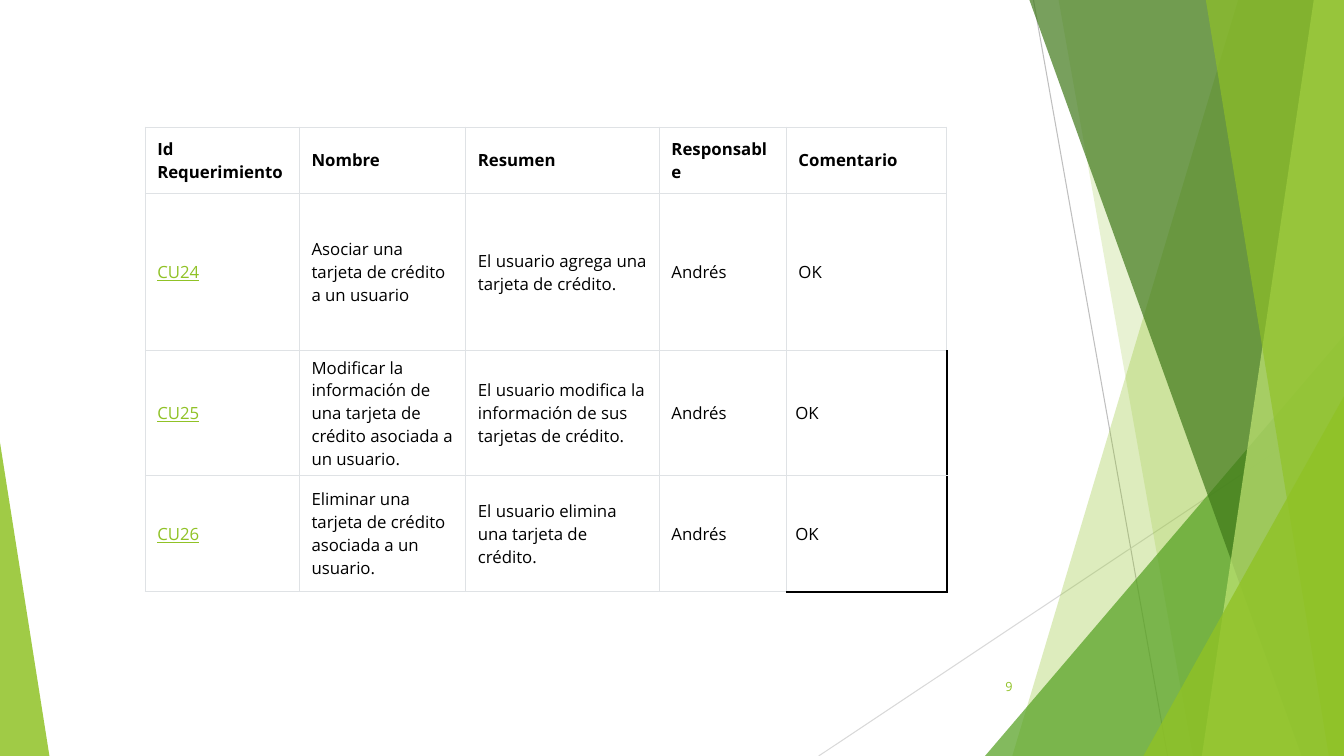
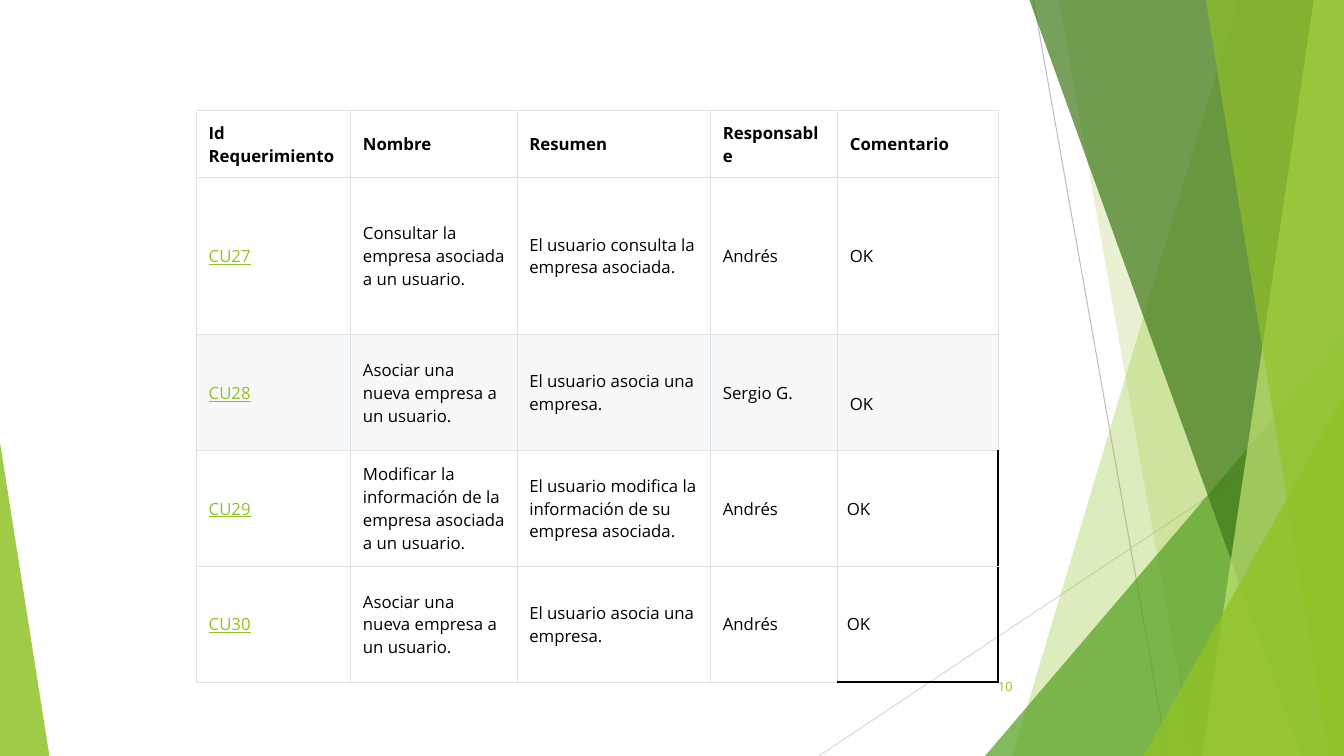
import lxml.etree
import pptx
import pptx.dml.color
import pptx.enum.shapes
import pptx.enum.text
import pptx.oxml.ns
import pptx.util

WIDE, HIGH = 13.33, 7.5
FONT = "Open Sans"
LIME, GRASS, MOSS, PALE = "90C226", "54A021", "3F7819", "C0E474"
BLACK, WHITE, MIST, EDGE = "000000", "FFFFFF", "F6F8FA", "DFE2E5"
PLAIN = "{2D5ABB26-0587-4C30-8999-92F81FD0307C}"

COLS = [1.53, 1.65, 1.92, 1.26, 1.59]
HEAD, TALL, FIVE, ROW = 0.66, 1.56, 1.24, 1.15
INSET = (0.12, 0.05)
TIGHT = (0.09, 0.04)
LINE = 0.23
TITLES = ("Id Requerimiento", "Nombre", "Resumen", "Responsable", "Comentario")

RAYS = [
    (10.25, 0, 11.58, HIGH, "BFBFBF"),
    (WIDE, 4.03, 8.12, HIGH, "D9D9D9"),
]
BACK = [(12.28, 10.04, LIME, 30), (10.5, 11.83, LIME, 20)]
FRONT = [(10.21, 12.91, MOSS, 70), (13.03, 11.92, PALE, 70), (11.96, 13.18, LIME, 65)]

CARDS = [
    (TALL, "CU24", "Asociar una tarjeta de crédito a un usuario",
     "El usuario agrega una tarjeta de crédito.", "Andrés", "OK"),
    (FIVE, "CU25", "Modificar la información de una tarjeta de crédito asociada a un usuario.",
     "El usuario modifica la información de sus tarjetas de crédito.", "Andrés", "OK"),
    (ROW, "CU26", "Eliminar una tarjeta de crédito asociada a un usuario.",
     "El usuario elimina una tarjeta de crédito.", "Andrés", "OK"),
]
FIRMS = [
    (TALL, "CU27", "Consultar la empresa asociada a un usuario.",
     "El usuario consulta la empresa asociada.", "Andrés", "OK"),
    (ROW, "CU28", "Asociar una nueva empresa a un usuario.",
     "El usuario asocia una empresa.", "Sergio G.", "OK"),
    (ROW, "CU29", "Modificar la información de la empresa asociada a un usuario.",
     "El usuario modifica la información de su empresa asociada.", "Andrés", "OK"),
    (ROW, "CU30", "Asociar una nueva empresa a un usuario.",
     "El usuario asocia una empresa.", "Andrés", "OK"),
]


def inch(*sizes):
    """Turn grid units of one inch into whole lengths."""
    return [pptx.util.Inches(size) for size in sizes]


def paint(fill, tone):
    """Give a fill a solid hex colour."""
    fill.solid()
    fill.fore_color.rgb = pptx.dml.color.RGBColor.from_string(tone)


def child(node, tag, **attrs):
    """Append a drawing element to a node."""
    return lxml.etree.SubElement(node, pptx.oxml.ns.qn(tag), **attrs)


def glaze(shape, tone, alpha):
    """Fill a shape with a see-through colour and no line."""
    paint(shape.fill, tone)
    shape.line.fill.background()
    shape.shadow.inherit = False
    mark = next(shape._element.spPr.iter(pptx.oxml.ns.qn("a:srgbClr")))
    child(mark, "a:alpha", val=str(alpha * 1000))


def ray(slide, x1, y1, x2, y2, tone):
    """Draw one thin line."""
    kind = pptx.enum.shapes.MSO_CONNECTOR.STRAIGHT
    line = slide.shapes.add_connector(kind, *inch(x1, y1, x2, y2))
    paint(line.line.fill, tone)
    line.line.width = pptx.util.Pt(0.75)
    child(line._element.spPr, "a:effectLst")


def facet(slide, box, top, base, tone, alpha):
    """Draw a full-height pane from a slanted edge to the box's right side."""
    left, up, wide, high = box
    right, down = left + wide, up + high
    build = slide.shapes.build_freeform(*inch(top, up), scale=1.0)
    ends = [inch(right, up), inch(right, down), inch(base, down)]
    build.add_line_segments(ends, close=True)
    glaze(build.convert_to_shape(), tone, alpha)


def peak(slide, box, tip, tone, alpha):
    """Draw a triangle whose tip sits at a share of its width."""
    kind = pptx.enum.shapes.MSO_SHAPE.ISOSCELES_TRIANGLE
    shape = slide.shapes.add_shape(kind, *inch(*box))
    shape.adjustments[0] = tip
    glaze(shape, tone, alpha)


def scene(slide, box):
    """Draw the shared green panes inside the box."""
    left, up, wide, high = box
    right, down = left + wide, up + high
    for item in RAYS:
        ray(slide, *item)
    for item in BACK:
        facet(slide, box, *item)
    peak(slide, (right - 3.56, down - 4.17, 3.56, 4.17), 1, GRASS, 72)
    for item in FRONT:
        facet(slide, box, *item)
    peak(slide, (right - 1.99, down - 3.57, 1.99, 3.57), 1, LIME, 80)
    peak(slide, (left, down - 3.11, 0.49, 3.11), 0, LIME, 85)


def style(para, size, tone, bold=False, under=False):
    """Format every run of a paragraph."""
    for run in para.runs:
        run.font.name = FONT
        run.font.size = pptx.util.Pt(size)
        run.font.bold = bold
        run.font.underline = under
        paint(run.font.fill, tone)


def number(slide, box, text):
    """Place the page number."""
    frame = slide.shapes.add_textbox(*inch(*box)).text_frame
    frame.word_wrap = True
    frame.vertical_anchor = pptx.enum.text.MSO_ANCHOR.MIDDLE
    para = frame.paragraphs[0]
    para.text = text
    para.alignment = pptx.enum.text.PP_ALIGN.RIGHT
    style(para, 9, LIME)


def edges(cell, dark):
    """Draw the four borders, with the named sides in black."""
    props = cell._tc.get_or_add_tcPr()
    for side in "LRTB":
        width = pptx.util.Pt(1.5 if side in dark else 0.75)
        line = child(props, "a:ln" + side, w=str(width))
        fill = child(line, "a:solidFill")
        child(fill, "a:srgbClr", val=BLACK if side in dark else EDGE)


def write(cell, text, tone, inset, drop=0, dark="", bold=False, under=False):
    """Write, frame and fill one cell; no tone leaves it clear."""
    side, edge = inset
    cell.margin_left, cell.margin_right = inch(side, side)
    cell.margin_top, cell.margin_bottom = inch(edge + drop, edge)
    cell.vertical_anchor = pptx.enum.text.MSO_ANCHOR.MIDDLE
    edges(cell, dark)
    if tone:
        paint(cell.fill, tone)
    else:
        cell.fill.background()
    para = cell.text_frame.paragraphs[0]
    para.text = text
    style(para, 12, LIME if under else BLACK, bold, under)


def grid(slide, left, top, cases, shade):
    """Build the case table; the last two comments are clear, one row may be shaded."""
    rows = [HEAD] + [case[0] for case in cases]
    box = inch(left, top, sum(COLS), sum(rows))
    table = slide.shapes.add_table(len(rows), len(COLS), *box).table
    table.first_row = table.horz_banding = False
    table._tbl.tblPr.find(pptx.oxml.ns.qn("a:tableStyleId")).text = PLAIN
    for col, wide in zip(table.columns, inch(*COLS)):
        col.width = wide
    for row, high in zip(table.rows, inch(*rows)):
        row.height = high
    for c, text in enumerate(TITLES):
        write(table.cell(0, c), text, WHITE, INSET, bold=True)
    for r, case in enumerate(cases, 1):
        tone = MIST if r == shade else WHITE
        for c, text in enumerate(case[1:]):
            last = c == len(COLS) - 1
            cell = table.cell(r, c)
            if last and r > len(cases) - 2:
                dark = "RB" if r == len(cases) else "R"
                write(cell, text, None, TIGHT, dark=dark)
            else:
                drop = LINE if last and r == shade else 0
                write(cell, text, tone, INSET, drop, under=c == 0)


def page(deck, text, left, top, cases, shade=None):
    """Add one slide with scene, page number and table."""
    slide = deck.slides.add_slide(deck.slide_layouts[6])
    scene(slide, (0, 0, WIDE, HIGH))
    number(slide, (9.39, 6.61, 0.75, 0.4), text)
    grid(slide, left, top, cases, shade)


deck = pptx.Presentation()
deck.slide_width, deck.slide_height = inch(WIDE, HIGH)
page(deck, "9", 1.44, 1.26, CARDS)
page(deck, "10", 1.95, 1.1, FIRMS, shade=2)
deck.save("out.pptx")
